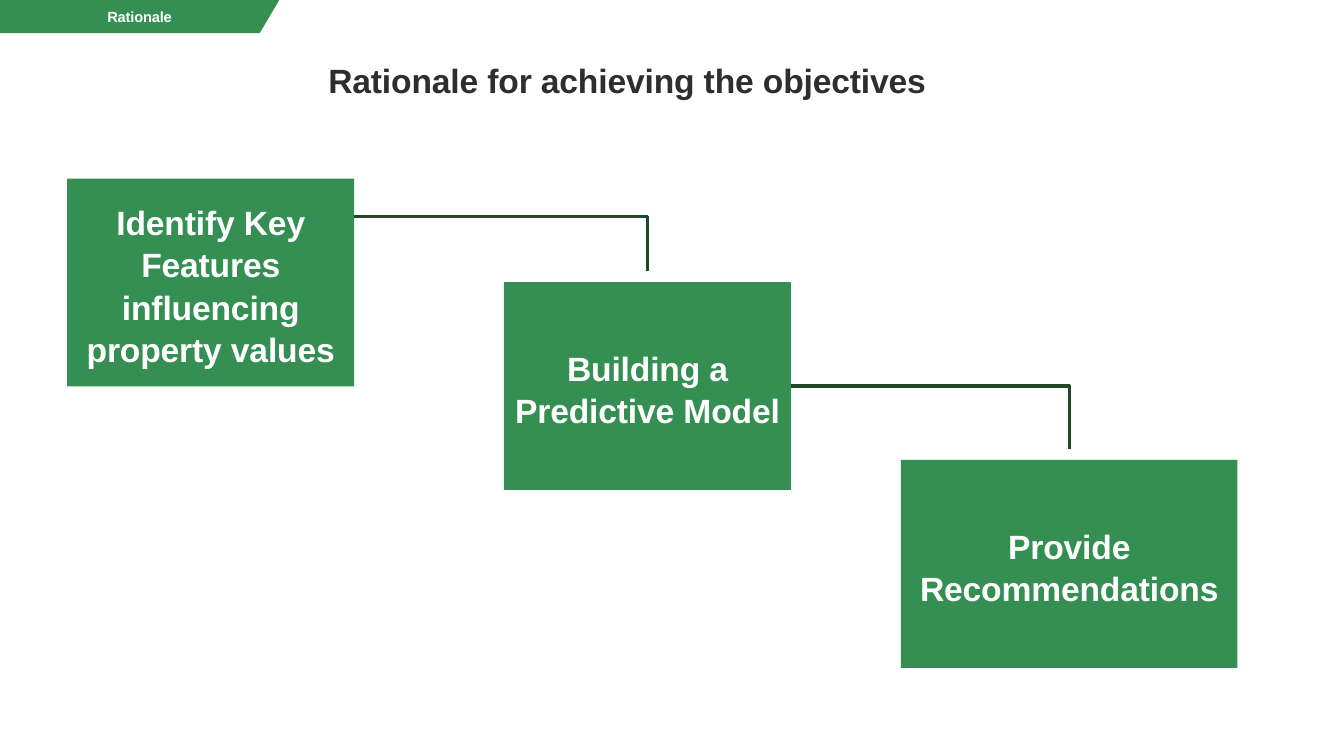
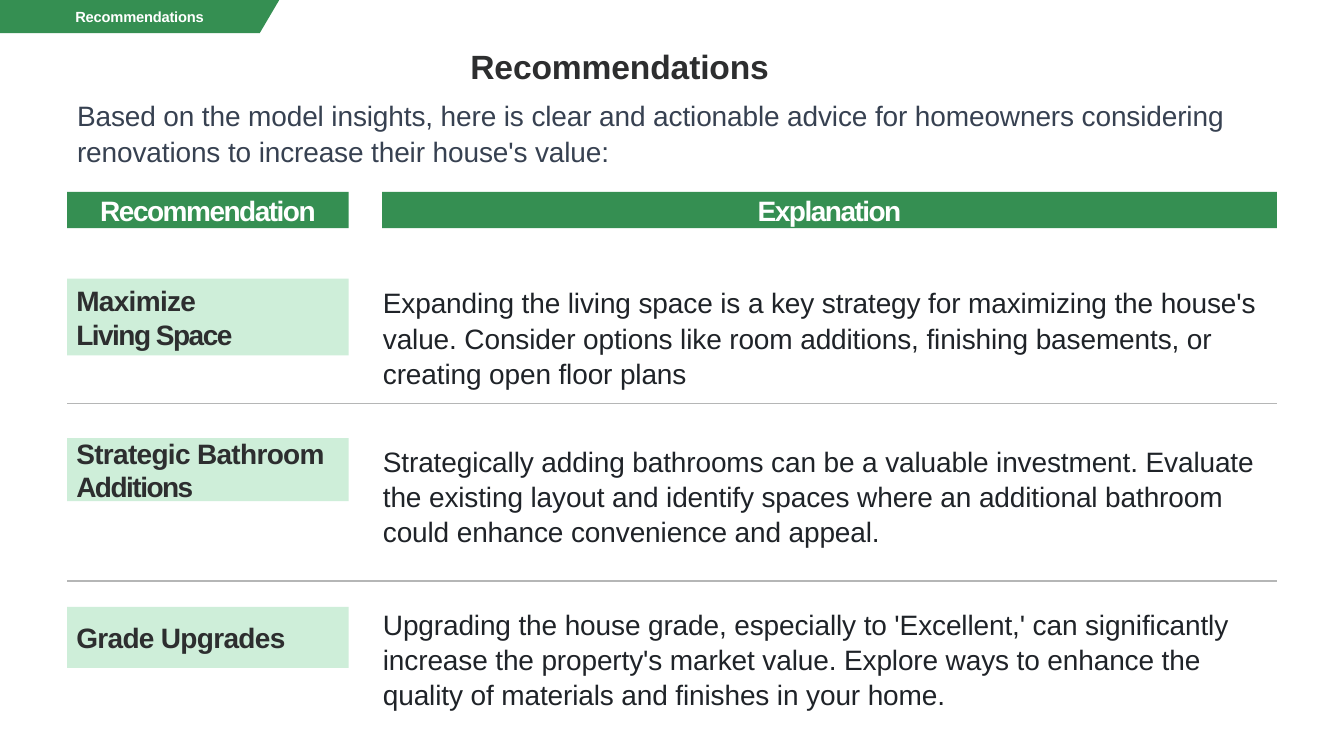
from lxml import etree
from pptx import Presentation
from pptx.dml.color import RGBColor
from pptx.enum import shapes, text
from pptx.oxml import ns
from pptx.util import Pt

# Shared look
FONT = "Arial"
GREEN, MINT, DEEP_GREEN = "358F52", "CEEED9", "214729"
WHITE, INK, SLATE, BODY, RULE = "FFFFFF", "2D2E2F", "374151", "1F2328", "B5B6B6"
LEFT, CENTER = text.PP_ALIGN.LEFT, text.PP_ALIGN.CENTER
TOP, MIDDLE = text.MSO_ANCHOR.TOP, text.MSO_ANCHOR.MIDDLE

# Content: heading, exact position (left, top, width, height) and text
STEPS = [
    ("Identify Key Features influencing property values", (48, 127.5, 205, 148.5)),
    ("Building a Predictive Model", (360, 201.5, 205, 148.5)),
    ("Provide Recommendations", (643.5, 328.5, 240.5, 148.5)),
]
LINK_STARTS = [154.5, 275.75]
LINK_GAP = 8

INTRO = ("Based on the model insights, here is clear and actionable advice for homeowners "
         "considering renovations to increase their house's value:")
LABEL_COLUMN, TEXT_COLUMN = (48, 201), (273, 639)
# Label lines, label top, label height, explanation top, explanation
ADVICE = [
    (["Maximize", "Living Space"], 199, 55, 202,
     "Expanding the living space is a key strategy for maximizing the house's value. "
     "Consider options like room additions, finishing basements, or creating open floor plans"),
    (["Strategic Bathroom", "Additions"], 313, 45, 315,
     "Strategically adding bathrooms can be a valuable investment. Evaluate the existing "
     "layout and identify spaces where an additional bathroom could enhance convenience "
     "and appeal."),
    (["Grade Upgrades"], 433.5, 43.5, 431.5,
     "Upgrading the house grade, especially to 'Excellent,' can significantly increase the "
     "property's market value. Explore ways to enhance the quality of materials and "
     "finishes in your home."),
]
RULE_TOPS = [288, 415]


def paint(target, color):
    """Give a fill, or the fill of a line, one solid colour."""
    target.solid()
    target.fore_color.rgb = RGBColor.from_string(color)


def write(shape, lines, size, color, bold=False, align=LEFT, anchor=TOP,
          tracking=(-0.1,), margins=(0, 0), leading=1.05):
    """Write one paragraph per line; tracking holds letter spacing per line."""
    frame = shape.text_frame
    frame.word_wrap = True
    frame.auto_size = text.MSO_AUTO_SIZE.NONE
    frame.vertical_anchor = anchor
    frame.margin_left, frame.margin_top = Pt(margins[0]), Pt(margins[1])
    frame.margin_right = frame.margin_bottom = 0
    frame.text = "\n".join(lines)
    for index, para in enumerate(frame.paragraphs):
        para.alignment = align
        para.line_spacing = leading
        for span in para.runs:
            span.font.name = FONT
            span.font.size = Pt(size)
            span.font.bold = bold
            paint(span.font.fill, color)
            spacing = tracking[min(index, len(tracking) - 1)]
            span._r.get_or_add_rPr().set("spc", str(round(spacing * 100)))


def add_box(page, area, fill):
    box = page.shapes.add_shape(shapes.MSO_SHAPE.RECTANGLE, *map(Pt, area))
    box.shadow.inherit = False
    paint(box.fill, fill)
    box.line.fill.background()
    return box


def add_note(page, area, content, color):
    note = page.shapes.add_textbox(*map(Pt, area))
    write(note, [content], 20, color, margins=(0.5, 1))


def add_outline(page, points, close):
    start, *rest = [(Pt(x), Pt(y)) for x, y in points]
    builder = page.shapes.build_freeform(*start)
    builder.add_line_segments(rest, close=close)
    outline = builder.convert_to_shape()
    outline.shadow.inherit = False
    return outline


def add_link(page, source, target, start_top):
    """Draw a right-angled line from a box side to just above the next box."""
    left = source[0] + source[2]
    middle = target[0] + target[2] / 2
    link = add_outline(page, [(left, start_top), (middle, start_top),
                              (middle, target[1] - LINK_GAP)], close=False)
    link.fill.background()
    paint(link.line.fill, DEEP_GREEN)
    link.line.width = Pt(2.25)


def add_rule(page, top):
    left, right = LABEL_COLUMN[0], sum(TEXT_COLUMN)
    rule = page.shapes.add_connector(shapes.MSO_CONNECTOR.STRAIGHT,
                                     Pt(left), Pt(top), Pt(right), Pt(top))
    paint(rule.line.fill, RULE)
    rule.line.width = Pt(0.75)
    etree.SubElement(rule._element.spPr, ns.qn("a:effectLst"))


def add_page(deck, section, title, title_area):
    """Start a slide with its title and the slanted section tab."""
    page = deck.slides.add_slide(deck.slide_layouts[5])
    heading = page.shapes.title
    heading.left, heading.top, heading.width, heading.height = map(Pt, title_area)
    write(heading, [title], 24, INK, bold=True, anchor=MIDDLE, leading=1.0)
    tab = add_outline(page, [(0, 0), (199.5, 0), (185.5, 23.75), (0, 23.75)], close=True)
    paint(tab.fill, GREEN)
    tab.line.fill.background()
    write(tab, [section], 10.5, WHITE, bold=True, align=CENTER, anchor=MIDDLE, leading=1.0)
    return page


def build_rationale(deck):
    page = add_page(deck, "Rationale", "Rationale for achieving the objectives",
                    (234.5, 42, 440, 31))
    for label, area in STEPS:
        box = add_box(page, area, GREEN)
        write(box, [label], 24, WHITE, bold=True, align=CENTER, anchor=MIDDLE,
              margins=(0, 3))
    areas = [area for _, area in STEPS]
    for source, target, start_top in zip(areas, areas[1:], LINK_STARTS):
        add_link(page, source, target, start_top)


def build_recommendations(deck):
    page = add_page(deck, "Recommendations", "Recommendations", (336, 31.5, 225, 31))
    add_note(page, (54.5, 68.5, 835, 50), INTRO, SLATE)

    # Column headings
    for heading, (left, width) in (("Recommendation", LABEL_COLUMN),
                                   ("Explanation", TEXT_COLUMN)):
        box = add_box(page, (left, 137, width, 26), GREEN)
        write(box, [heading], 20, WHITE, bold=True, align=CENTER, anchor=MIDDLE,
              tracking=(-1.1,), leading=1.0)

    # Advice rows
    label_left, label_width = LABEL_COLUMN
    text_left, text_width = TEXT_COLUMN
    for lines, label_top, label_height, text_top, explanation in ADVICE:
        box = add_box(page, (label_left, label_top, label_width, label_height), MINT)
        write(box, lines, 20, INK, bold=True, anchor=MIDDLE, tracking=(-0.5, -1.1),
              margins=(6.5, 0), leading=1.0)
        add_note(page, (text_left, text_top, text_width, 74), explanation, BODY)
    for top in RULE_TOPS:
        add_rule(page, top)


def main():
    deck = Presentation()
    deck.slide_width, deck.slide_height = Pt(960), Pt(540)
    build_rationale(deck)
    build_recommendations(deck)
    deck.save("out.pptx")


if __name__ == "__main__":
    main()
